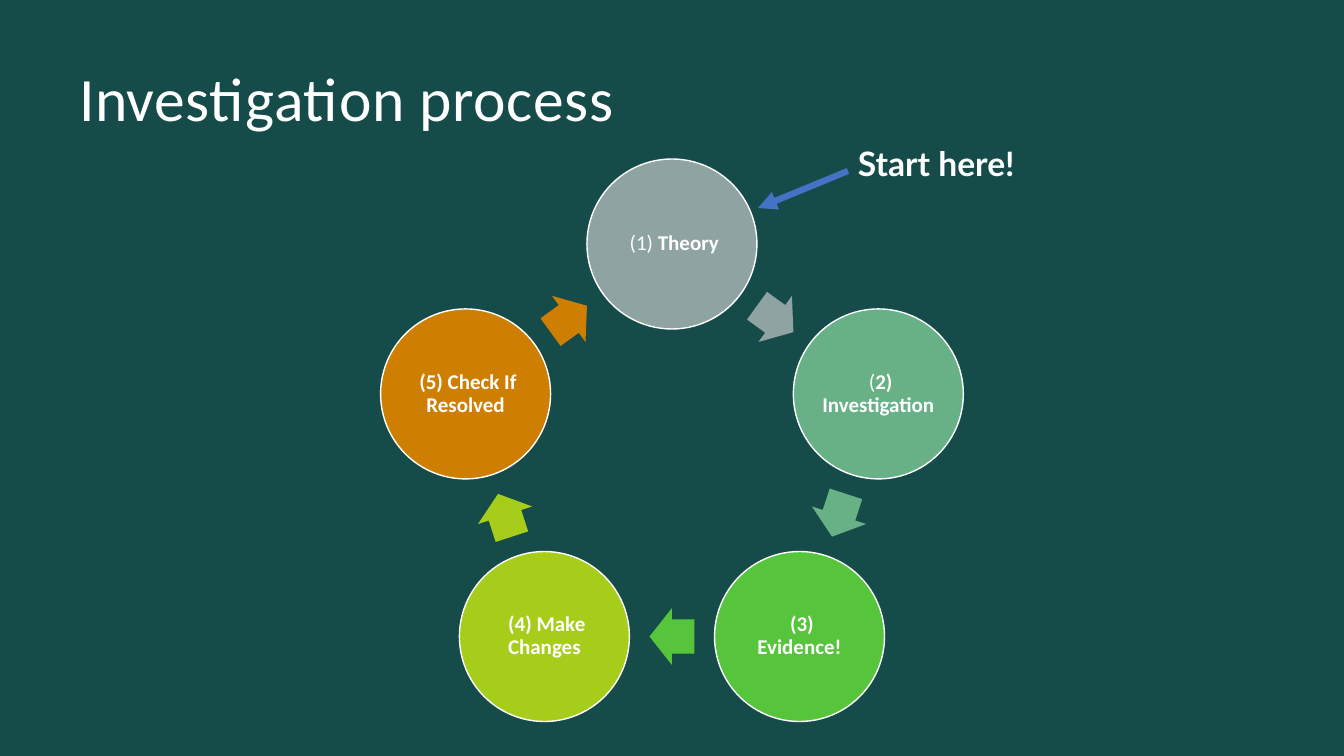
import math

from lxml import etree
from pptx import Presentation
from pptx import util as u
from pptx.dml.color import RGBColor
from pptx.enum import shapes, text
from pptx.oxml.ns import qn

PX = 12192000 / 1344
COLORS = {
    "background": "154C4A",
    "white": "FFFFFF",
    "pointer": "4472C4",
    "theory": "8FA3A3",
    "investigation": "68B186",
    "evidence": "56C53B",
    "changes": "A7CD1B",
    "check": "CE7F01",
}
STEPS = [
    ("theory", [(" (1) ", False), ("Theory", True)]),
    ("investigation", [(" (", False), ("2) Investigation", True)]),
    ("evidence", [(" (3) Evidence!", True)]),
    ("changes", [(" (4) Make Changes", True)]),
    ("check", [(" (5) Check If Resolved", True)]),
]
RING_X, RING_Y, RING_RADIUS = 672, 461, 217
CIRCLE_SIZE = 170
ARROW_WIDTH, ARROW_HEIGHT = 45, 57


def px(*lengths):
    return [u.Emu(round(length * PX)) for length in lengths]


def color(name):
    return RGBColor.from_string(COLORS[name])


def ring_point(angle, radius):
    turn = math.radians(angle)
    return RING_X + radius * math.sin(turn), RING_Y - radius * math.cos(turn)


def set_insets(frame, inset):
    margin, = px(inset)
    frame.margin_left = frame.margin_right = margin
    frame.margin_top = frame.margin_bottom = margin


def style_font(paragraph, face, size):
    paragraph.font.name = face
    paragraph.font.size = u.Pt(size)
    paragraph.font.color.rgb = color("white")


def add_centred(slide, preset, center, width, height, fill):
    x, y = center
    box = px(x - width / 2, y - height / 2, width, height)
    shape = slide.shapes.add_shape(preset, *box)
    shape.shadow.inherit = False
    shape.fill.solid()
    shape.fill.fore_color.rgb = color(fill)
    return shape


def add_step(slide, angle, fill, wording):
    circle = add_centred(slide, shapes.MSO_SHAPE.OVAL, ring_point(angle, RING_RADIUS),
                         CIRCLE_SIZE, CIRCLE_SIZE, fill)
    circle.line.color.rgb = color("white")
    circle.line.width = u.Pt(1)
    frame = circle.text_frame
    frame.word_wrap = True
    frame.vertical_anchor = text.MSO_ANCHOR.MIDDLE
    set_insets(frame, 2)
    label = frame.paragraphs[0]
    label.alignment = text.PP_ALIGN.CENTER
    label.line_spacing = 0.9
    style_font(label, "Calibri", 15)
    for words, bold in wording:
        run = label.add_run()
        run.text = words
        run.font.bold = bold


def add_step_arrow(slide, angle, fill):
    radius = RING_RADIUS * math.cos(math.radians(36))
    arrow = add_centred(slide, shapes.MSO_SHAPE.RIGHT_ARROW, ring_point(angle, radius),
                        ARROW_WIDTH, ARROW_HEIGHT, fill)
    arrow.line.fill.background()
    arrow.adjustments[0] = 0.6
    arrow.adjustments[1] = 0.5
    arrow.rotation = angle


def add_heading(slide, box, words, face, size):
    frame = slide.shapes.add_textbox(*px(*box)).text_frame
    frame.word_wrap = True
    heading = frame.paragraphs[0]
    heading.text = words
    style_font(heading, face, size)
    return frame


def add_pointer(slide, start, end):
    pointer = slide.shapes.add_connector(shapes.MSO_CONNECTOR.STRAIGHT, *px(*start, *end))
    pointer.line.color.rgb = color("pointer")
    pointer.line.width = u.Pt(4.5)
    etree.SubElement(pointer.line._get_or_add_ln(), qn("a:tailEnd"), type="triangle")
    etree.SubElement(pointer._element.spPr, qn("a:effectLst"))


def main():
    deck = Presentation()
    deck.slide_width, deck.slide_height = px(1344, 756)
    slide = deck.slides.add_slide(deck.slide_layouts[6])
    slide.background.fill.solid()
    slide.background.fill.fore_color.rgb = color("background")

    for index, (fill, wording) in enumerate(STEPS):
        angle = index * 72
        add_step(slide, angle, fill, wording)
        add_step_arrow(slide, angle + 36, fill)

    title = add_heading(slide, (79, 69, 1182, 163), "Investigation process", "Calibri", 44)
    set_insets(title, 0)
    title.paragraphs[0].line_spacing = 0.88
    title.paragraphs[0].runs[0].font._element.set("spc", "40")

    add_pointer(slide, (848, 171), (758, 208))
    start_here = add_heading(slide, (848, 138, 201, 50), "Start here!", "Lato", 24)
    start_here.paragraphs[0].font.bold = True

    deck.save("out.pptx")


if __name__ == "__main__":
    main()
